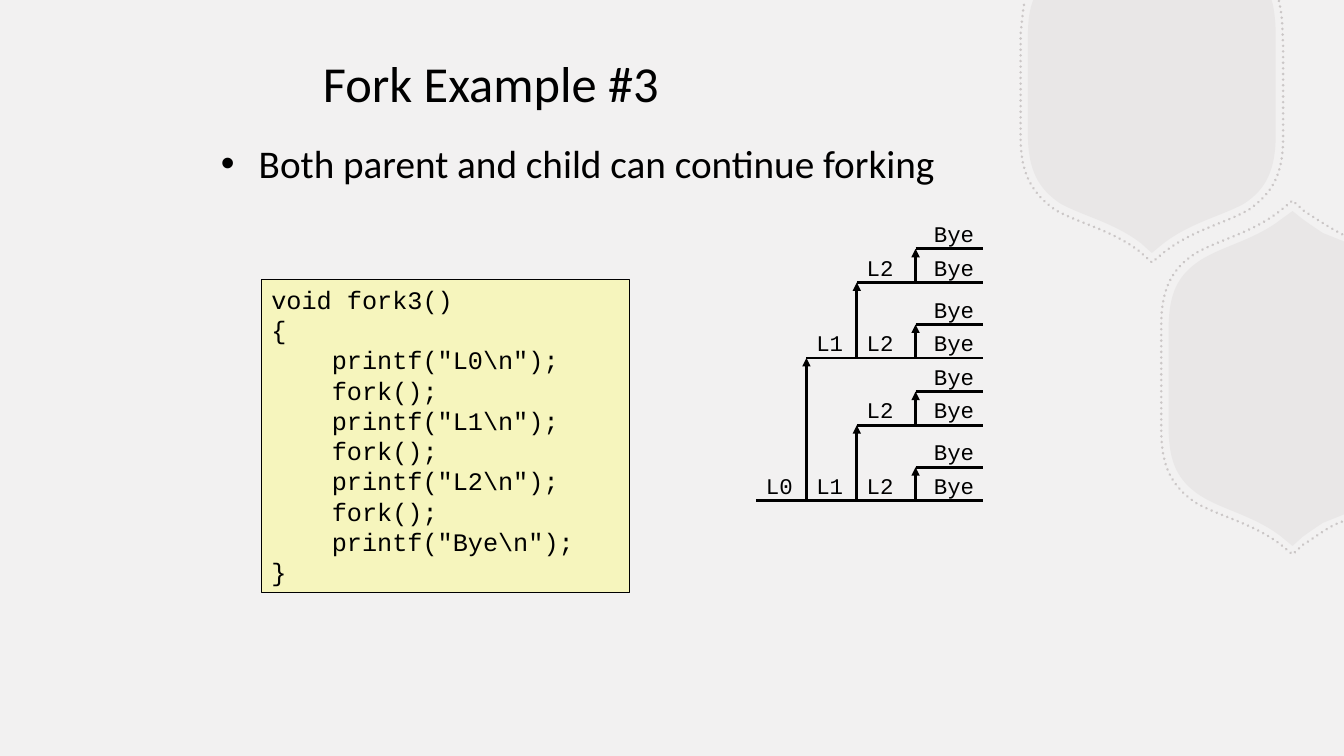
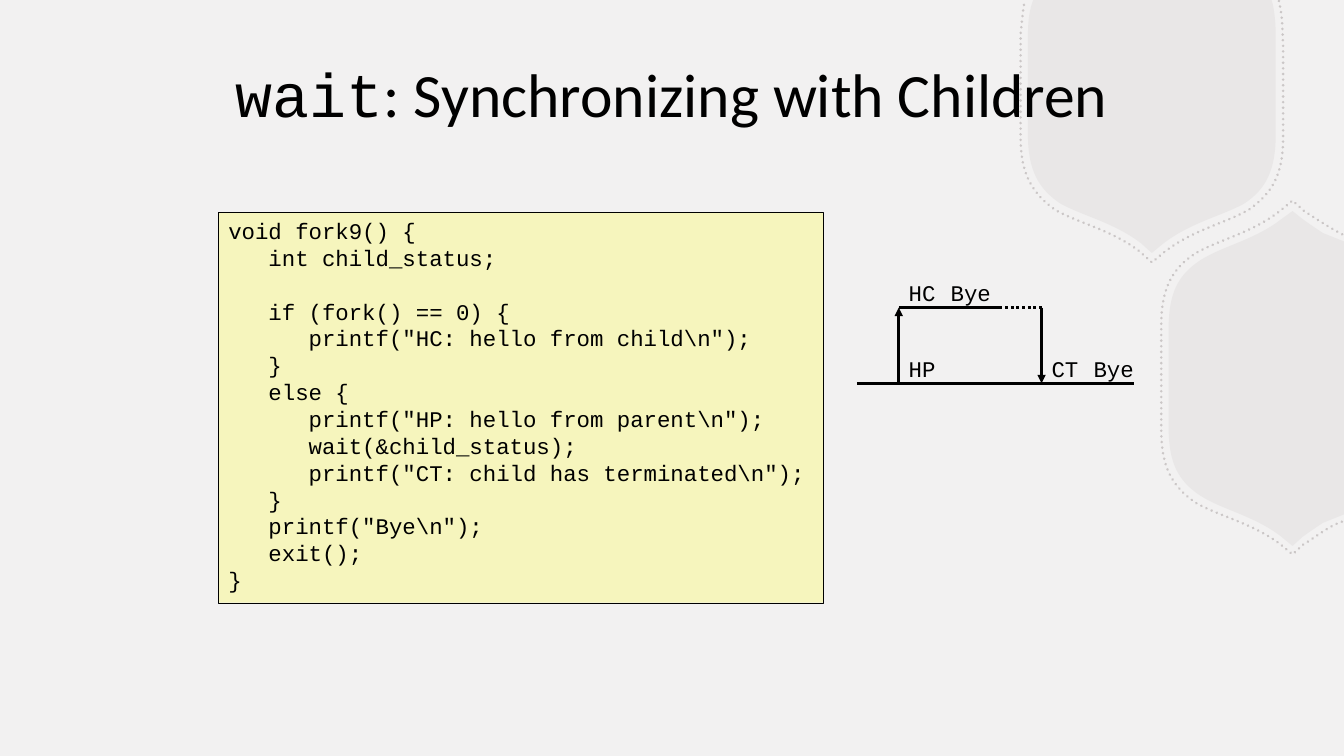
from pptx import Presentation
from pptx.dml.color import RGBColor
from pptx.enum.dml import MSO_LINE
from pptx.enum.shapes import MSO_CONNECTOR, MSO_SHAPE
from pptx.enum.text import MSO_ANCHOR, PP_ALIGN
from pptx.oxml.ns import qn
from pptx.util import Emu, Pt
from lxml.etree import SubElement

SCALE = 9525
COLORS = {"page": "F2F1F1", "hexagon": "B8B2B2", "code": "F6F5BD", "ink": "000000"}
SANS, MONO = "Calibri", "Courier New"
FRAMES = {
    "title": {"word_wrap": True, "vertical_anchor": MSO_ANCHOR.MIDDLE},
    "body": {"word_wrap": True, "vertical_anchor": MSO_ANCHOR.TOP},
    "label": {"word_wrap": False, "vertical_anchor": MSO_ANCHOR.TOP},
}

SOLID_HEXAGONS = [
    "984 0/1211 0/1212 3/1214 12 1215 22 1215 35/1215 128/1215 162 1206 180 1185 194/"
    "1163 206 1134 212 1108 232/1097 241/1087 232/1061 212 1032 206 1010 194/"
    "989 180 979 162 979 128/979 35/979 22 980 12 983 3",
    "1231 201/1241 209/1248 214 1254 218 1260 222/1280 230/1280 490/1260 498/"
    "1254 502 1248 506 1241 511/1231 520/1220 511/1194 491 1165 486 1143 472/"
    "1122 458 1113 441 1113 407/1113 313/1113 279 1122 262 1143 248/"
    "1165 234 1194 229 1220 209",
]
DOTTED_HEXAGONS = [
    "1218 1/1222 18 1221 29 1222 42/1222 131/1222 166 1212 184 1189 200/"
    "1166 213 1136 219 1109 240/1097 250/1086 240/1059 219 1028 213 1005 200/"
    "983 184 972 166 972 131/972 32/973 25 974 9 976 1",
    "1278 497/1265 501 1250 514 1242 518/1231 528/1219 518/"
    "1192 498 1162 492 1139 479/1116 463 1106 445 1106 409/1106 310/"
    "1106 275 1116 256 1139 241/1162 228 1192 222 1219 201/1231 191/1242 201/"
    "1250 206 1266 217 1280 224",
]

FORK3 = r'''void fork3()
{
    printf("L0\n");
    fork();
    printf("L1\n");
    fork();
    printf("L2\n");
    fork();
    printf("Bye\n");
}'''

FORK9 = r'''void fork9() {
   int child_status;

   if (fork() == 0) {
      printf("HC: hello from child\n");
   }
   else {
      printf("HP: hello from parent\n");
      wait(&child_status);
      printf("CT: child has terminated\n");
   }
   printf("Bye\n");
   exit();
}'''

STEPS = [("L0", 720, 720, 0), ("L1", 768, 768, 136), ("L2", 816, 816, 72), ("Bye", 872, 880, 32)]
TREE_END = 936
LABEL_RISE = 32


def px(n):
    return Emu(n * SCALE)


def rgb(name):
    return RGBColor.from_string(COLORS[name])


class Deck:
    def __init__(self):
        self.prs = Presentation()
        self.prs.slide_width, self.prs.slide_height = px(1280), px(720)
        self.s = None

    def slide(self):
        self.s = self.prs.slides.add_slide(self.prs.slide_layouts[6])
        self.s.background.fill.solid()
        self.s.background.fill.fore_color.rgb = rgb("page")
        for outline in SOLID_HEXAGONS:
            sp = self.hexagon(outline, True)
            sp.fill.solid()
            self.tint(sp.fill.fore_color, sp, 15)
            sp.line.fill.background()
        for outline in DOTTED_HEXAGONS:
            sp = self.hexagon(outline, False)
            sp.fill.background()
            self.tint(sp.line.color, sp, 65)
            sp.line.width = Pt(2)
            sp.line.dash_style = MSO_LINE.ROUND_DOT
            sp.line._get_or_add_ln().set("cap", "rnd")

    def hexagon(self, outline, close):
        segments = []
        for text in outline.split("/"):
            n = [int(v) for v in text.split()]
            segments.append(list(zip(n[::2], n[1::2])))
        start, *points = [p for segment in segments for p in segment]
        builder = self.s.shapes.build_freeform(*start, scale=SCALE)
        builder.add_line_segments(points, close=close)
        sp = builder.convert_to_shape()
        sp.shadow.inherit = False
        lines = iter(list(sp._element.iter(qn("a:lnTo"))))
        for segment in segments[1:]:
            first, *rest = [next(lines) for _ in segment]
            if rest:
                first.tag = qn("a:cubicBezTo")
            for ln in rest:
                first.append(ln[0])
                ln.getparent().remove(ln)
        return sp

    def tint(self, color, sp, percent):
        color.rgb = rgb("hexagon")
        clr = next(sp._element.spPr.iter(qn("a:srgbClr")))
        SubElement(clr, qn("a:alpha")).set("val", str(percent * 1000))

    def box(self, x, y, w, h, frame):
        sp = self.s.shapes.add_textbox(px(x), px(y), px(w), px(h))
        return self.frame(sp, frame)

    def frame(self, sp, frame):
        for key, value in FRAMES[frame].items():
            setattr(sp.text_frame, key, value)
        return sp.text_frame

    def run(self, p, text, size, font):
        r = p.add_run()
        r.text = text
        for key, value in {"name": font, "size": Pt(size)}.items():
            setattr(r.font, key, value)
        r.font.color.rgb = rgb("ink")

    def title(self, x, y, w, h, size, runs):
        p = self.box(x, y, w, h, "title").paragraphs[0]
        p.alignment = PP_ALIGN.CENTER
        for text, font in runs:
            self.run(p, text, size, font)

    def bullet(self, x, y, w, h, text):
        p = self.box(x, y, w, h, "body").paragraphs[0]
        pPr = p._p.get_or_add_pPr()
        for key, value in {"marL": px(36), "indent": px(-36)}.items():
            pPr.set(key, str(int(value)))
        SubElement(pPr, qn("a:buFont")).set("typeface", "Arial")
        SubElement(pPr, qn("a:buChar")).set("char", "•")
        self.run(p, text, 28, SANS)

    def code(self, x, y, w, h, size, text):
        sp = self.s.shapes.add_shape(MSO_SHAPE.RECTANGLE, px(x), px(y), px(w), px(h))
        sp.shadow.inherit = False
        sp.fill.solid()
        sp.fill.fore_color.rgb = rgb("code")
        sp.line.color.rgb = rgb("ink")
        sp.line.width = Pt(0.25)
        tf = self.frame(sp, "body")
        pitch = Pt(size * 1.2)
        p, gap = tf.paragraphs[0], 0
        for i, line in enumerate(text.split("\n")):
            if not line:
                gap += pitch
                continue
            p = tf.add_paragraph() if i else p
            p.alignment = PP_ALIGN.LEFT
            p.line_spacing = pitch
            if gap:
                p.space_before, gap = Emu(gap), 0
            self.run(p, line, size, MONO)

    def label(self, x, y, text):
        p = self.box(x, y, 19 + 13 * len(text), 36, "label").paragraphs[0]
        p.line_spacing = Pt(19.2)
        self.run(p, text, 16, MONO)

    def line(self, x1, y1, x2, y2, arrow=False, dash=None):
        sp = self.s.shapes.add_connector(MSO_CONNECTOR.STRAIGHT, px(x1), px(y1), px(x2), px(y2))
        sp.line.color.rgb = rgb("ink")
        for key, value in {"width": Pt(2), "dash_style": dash}.items():
            setattr(sp.line, key, value)
        if arrow:
            SubElement(sp.line._get_or_add_ln(), qn("a:tailEnd")).set("type", "triangle")
        SubElement(sp._element.spPr, qn("a:effectLst"))

    def branch(self, level, y):
        self.line(STEPS[level][1], y, TREE_END, y)
        for i in range(level, len(STEPS)):
            text, fork_x, label_x, rise = STEPS[i]
            self.label(label_x, y - LABEL_RISE, text)
            if i > level:
                self.line(fork_x, y, fork_x, y - rise, arrow=True)
                self.branch(i, y - rise)


def fork_slide(deck):
    deck.slide()
    deck.title(200, 44, 535, 68, 36, [("Fork Example #3", SANS)])
    deck.bullet(201, 128, 829, 99, "Both parent and child can continue forking")
    deck.code(249, 266, 350, 298, 18, FORK3)
    deck.branch(0, 477)


def wait_slide(deck):
    deck.slide()
    deck.title(208, 13, 864, 151, 44, [("wait", MONO), (": Synchronizing with Children", SANS)])
    deck.code(208, 202, 576, 372, 16, FORK9)
    child, parent, fork_x, join_x = 293, 365, 856, 992
    stops = [816, fork_x, 896, 952, join_x, 1032, 1080]
    for x1, x2 in zip(stops, stops[1:]):
        deck.line(x1, parent, x2, parent)
    deck.line(fork_x, parent, fork_x, child, arrow=True)
    for x1, x2 in zip(stops[1:3], stops[2:4]):
        deck.line(x1, child, x2, child)
    deck.line(952, child, join_x, child, dash=MSO_LINE.ROUND_DOT)
    deck.line(join_x, child, join_x, parent, arrow=True)
    for x, y, text in [
        (fork_x, child, "HC"),
        (896, child, "Bye"),
        (fork_x, parent, "HP"),
        (join_x, parent, "CT"),
        (1032, parent, "Bye"),
    ]:
        deck.label(x, y - LABEL_RISE, text)


def main():
    deck = Deck()
    fork_slide(deck)
    wait_slide(deck)
    deck.prs.save("out.pptx")


if __name__ == "__main__":
    main()
